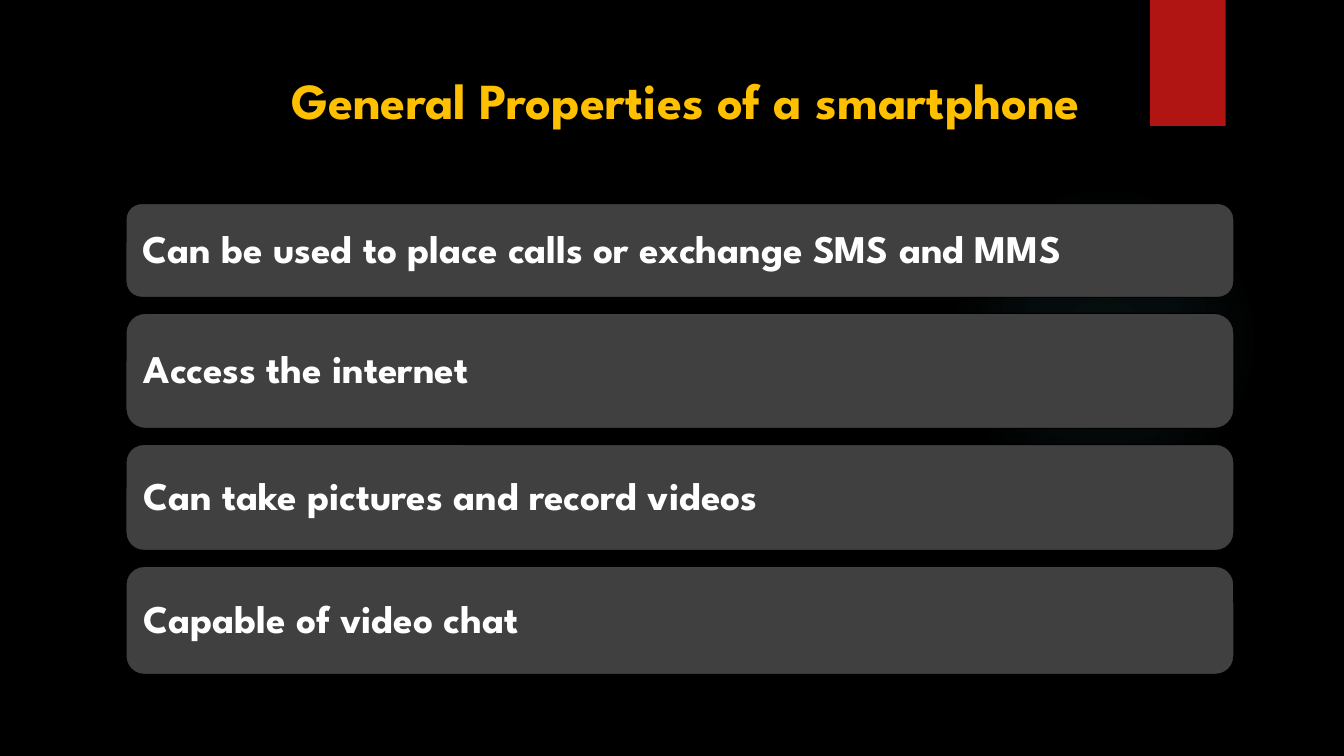
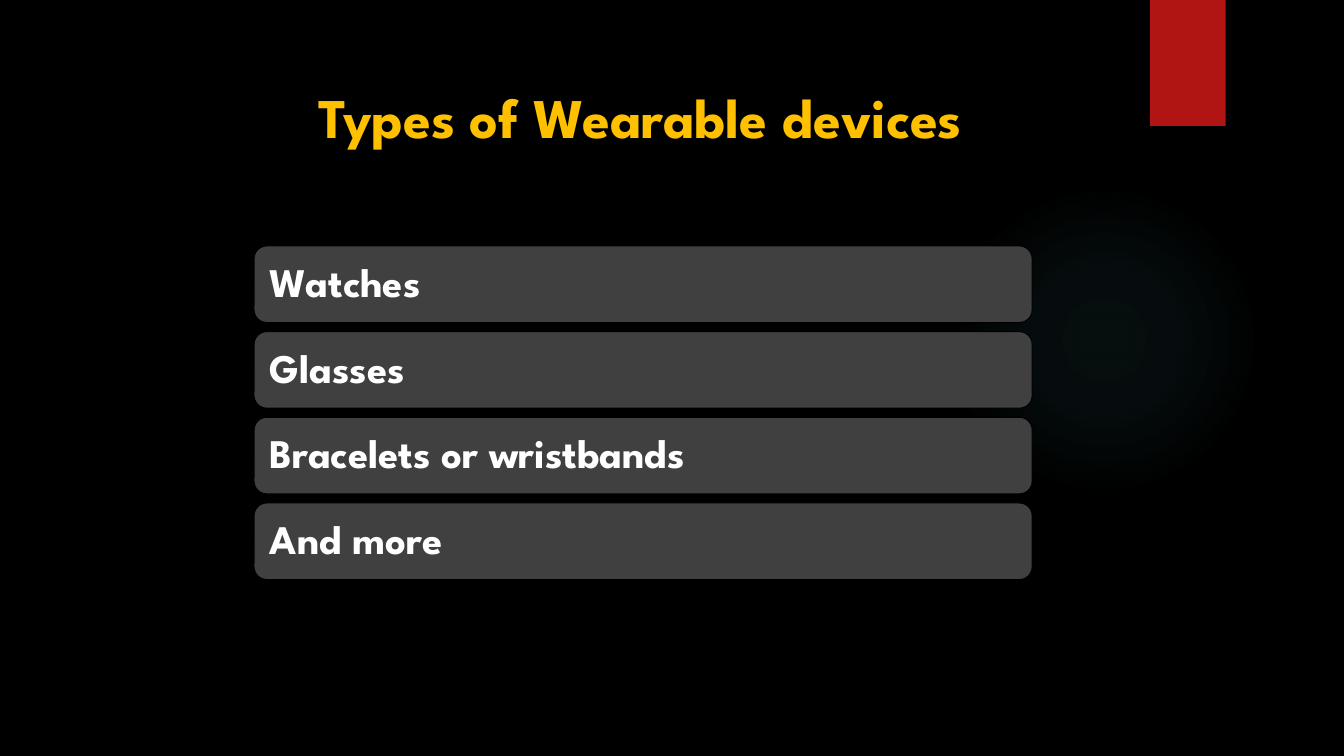
from dataclasses import dataclass

from lxml import etree
from pptx import Presentation
from pptx.dml.color import RGBColor
from pptx.enum import shapes, text
from pptx.oxml import ns, parse_xml
from pptx.shapes.autoshape import Shape
from pptx.slide import Slide
from pptx.util import Emu, Inches, Pt

CELL = Inches(1 / 12)
COLUMNS, ROWS = 160, 90
FONT = "League Spartan"
COLOURS = {
    "background": "000000",
    "band": "B01513",
    "glow": "50B9C1",
    "title": "FFC000",
    "panel": "404040",
    "panel_text": "FFFFFF",
}
GLOW_STOPS = ((0, 7), (36, 6), (69, 0), (100, 0))


@dataclass(frozen=True)
class Box:
    column: float
    row: float
    columns: float
    rows: float

    def lengths(self) -> tuple[Emu, ...]:
        cells = (self.column, self.row, self.columns, self.rows)
        return tuple(Emu(round(cell * CELL)) for cell in cells)


@dataclass(frozen=True)
class Panel:
    wording: str
    rows: float


@dataclass(frozen=True)
class Topic:
    title: str
    title_box: Box
    title_size: float
    column: float
    row: float
    columns: float
    gap: float
    panel_size: float
    panels: tuple[Panel, ...]


GLOW = Box(112.92, 21.96, 36.96, 36.96)
BAND = Box(136.92, 0, 9, 15)
TOPICS = (
    Topic(
        "General Properties of a smartphone", Box(28.56, 7.68, 106.2, 13.68), 36,
        15, 24.24, 131.88, 1.92, 28,
        (
            Panel("Can be used to place calls or exchange SMS and MMS", 11.16),
            Panel("Access the internet", 13.68),
            Panel("Can take pictures and record videos", 12.6),
            Panel("Capable of video chat", 12.84),
        ),
    ),
    Topic(
        "Types of Wearable devices", Box(26.4, 9.24, 99.72, 16.2), 40,
        30.24, 29.28, 92.64, 1.08, 29,
        tuple(
            Panel(wording, 9.12)
            for wording in ("Watches", "Glasses", "Bracelets or wristbands", "And more")
        ),
    ),
)


def colour(name: str) -> RGBColor:
    return RGBColor.from_string(COLOURS[name])


def add_shape(slide: Slide, kind: shapes.MSO_SHAPE, box: Box, fill: str) -> Shape:
    shape = slide.shapes.add_shape(kind, *box.lengths())
    shape.shadow.inherit = False
    shape.fill.solid()
    shape.fill.fore_color.rgb = colour(fill)
    shape.line.fill.background()
    return shape


def write(shape: Shape, wording: str, size: float, ink: str, alignment: text.PP_ALIGN) -> None:
    shape.text_frame.word_wrap = True
    paragraph = shape.text_frame.paragraphs[0]
    paragraph.alignment = alignment
    run = paragraph.add_run()
    run.text = wording
    run.font.name = FONT
    run.font.size = Pt(size)
    run.font.bold = True
    run.font.color.rgb = colour(ink)


def add_glow(slide: Slide) -> None:
    shape = add_shape(slide, shapes.MSO_SHAPE.OVAL, GLOW, "glow")
    stops = "".join(
        f'<a:gs pos="{place * 1000}"><a:srgbClr val="{COLOURS["glow"]}">'
        f'<a:alpha val="{alpha * 1000}"/></a:srgbClr></a:gs>'
        for place, alpha in GLOW_STOPS
    )
    gradient: etree.ElementBase = parse_xml(
        f'<a:gradFill {ns.nsdecls("a")} rotWithShape="1"><a:gsLst>{stops}</a:gsLst>'
        '<a:path path="circle">'
        '<a:fillToRect l="50000" t="50000" r="50000" b="50000"/></a:path></a:gradFill>'
    )
    properties = shape.element.spPr
    properties.replace(properties.find(ns.qn("a:solidFill")), gradient)


def add_title(slide: Slide, topic: Topic) -> None:
    title = slide.shapes.add_textbox(*topic.title_box.lengths())
    write(title, topic.title, topic.title_size, "title", text.PP_ALIGN.CENTER)


def add_panel(slide: Slide, wording: str, box: Box, size: float) -> None:
    shape = add_shape(slide, shapes.MSO_SHAPE.ROUNDED_RECTANGLE, box, "panel")
    shape.line.color.rgb = colour("background")
    shape.line.width = Pt(0.75)
    frame = shape.text_frame
    frame.vertical_anchor = text.MSO_ANCHOR.MIDDLE
    frame.margin_left = frame.margin_right = Inches(0.12)
    frame.margin_top = frame.margin_bottom = Inches(0.12)
    write(shape, wording, size, "panel_text", text.PP_ALIGN.LEFT)
    frame.paragraphs[0].line_spacing = 0.9


def add_topic(presentation: Presentation, topic: Topic) -> None:
    slide = presentation.slides.add_slide(presentation.slide_layouts[6])
    add_glow(slide)
    add_shape(slide, shapes.MSO_SHAPE.RECTANGLE, BAND, "band")
    add_title(slide, topic)
    row = topic.row
    for panel in topic.panels:
        box = Box(topic.column, row, topic.columns, panel.rows)
        add_panel(slide, panel.wording, box, topic.panel_size)
        row += panel.rows + topic.gap


def main() -> None:
    presentation = Presentation()
    presentation.slide_width = Emu(COLUMNS * CELL)
    presentation.slide_height = Emu(ROWS * CELL)
    background = presentation.slide_master.background.fill
    background.solid()
    background.fore_color.rgb = colour("background")
    for topic in TOPICS:
        add_topic(presentation, topic)
    presentation.save("out.pptx")


if __name__ == "__main__":
    main()
